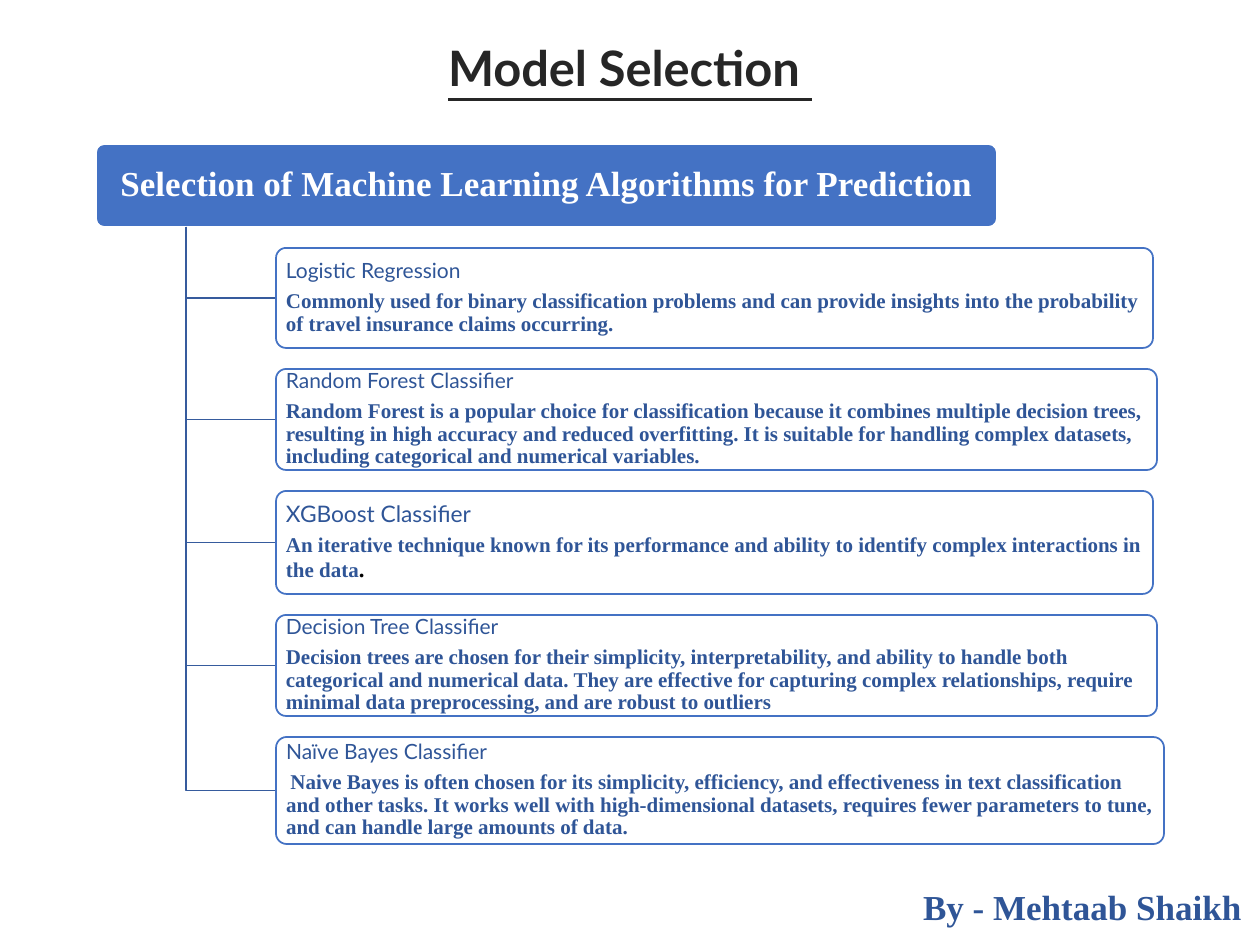
from pptx import Presentation
from pptx.dml.color import RGBColor
from pptx.enum.shapes import MSO_SHAPE
from pptx.enum.text import MSO_ANCHOR, PP_ALIGN
from pptx.util import Pt

SCALE = 914400 / 126
COLORS = {
    "title": "262626",
    "accent": "4472C4",
    "branch": "365B9D",
    "text": "2F5597",
    "white": "FFFFFF",
    "black": "000000",
}
SERIF = "Times New Roman"
HEADING = {"name": "Lato", "size": 12, "color": "text"}
BODY = {"name": SERIF, "size": 12, "color": "text", "bold": True}
GAP = 21

ALGORITHMS = [
    (877, 100, [
        [("Logistic Regression", HEADING)],
        [("Commonly used for binary classification problems and can provide insights into the "
          "probability of travel insurance claims occurring.", BODY)],
    ]),
    (881, 101, [
        [("Random Forest Classifier", HEADING)],
        [("Random Forest is a popular choice for classification because it combines multiple "
          "decision trees, resulting in high accuracy and reduced overfitting. It is suitable for "
          "handling complex datasets, including categorical and numerical variables.", BODY)],
    ]),
    (877, 103, [
        [("XGBoost Classifier", HEADING | {"size": 13})],
        [("An iterative technique known for its performance and ability to identify complex "
          "interactions in the data", BODY),
         (".", BODY | {"size": 13, "color": "black"})],
    ]),
    (881, 101, [
        [("Decision Tree Classifier", HEADING)],
        [("Decision trees are chosen for their simplicity, interpretability, and ability to handle "
          "both categorical and numerical data. They are effective for capturing complex "
          "relationships, require minimal data preprocessing, and are robust to outliers", BODY)],
    ]),
    (888, 107, [
        [("Naïve Bayes Classifier", HEADING)],
        [(" ", BODY | {"name": "Calibri", "size": 11, "color": "black"}),
         ("Naive Bayes is often chosen for its simplicity, efficiency, and effectiveness in text "
          "classification and other tasks. It works well with high-dimensional datasets, requires "
          "fewer parameters to tune, and can handle large amounts of data.", BODY)],
    ]),
]


def px(value):
    return round(value * SCALE)


def rgb(name):
    return RGBColor.from_string(COLORS[name])


def add_runs(paragraph, runs):
    for text, style in runs:
        run = paragraph.add_run()
        run.text = text
        for attribute, value in style.items():
            if attribute == "color":
                run.font.color.rgb = rgb(value)
            else:
                setattr(run.font, attribute, Pt(value) if attribute == "size" else value)


def write_text(shape, paragraphs, alignment, line_spacing=0.9, space_after=0):
    frame = shape.text_frame
    for index, runs in enumerate(paragraphs):
        paragraph = frame.paragraphs[0] if index == 0 else frame.add_paragraph()
        paragraph.alignment = alignment
        paragraph.line_spacing = line_spacing
        paragraph.space_before = Pt(0)
        paragraph.space_after = Pt(space_after)
        add_runs(paragraph, runs)


def set_frame(shape, margin_x, margin_y, wrap=True, anchor=MSO_ANCHOR.MIDDLE):
    settings = {
        "margin_left": px(margin_x), "margin_right": px(margin_x),
        "margin_top": px(margin_y), "margin_bottom": px(margin_y),
        "word_wrap": wrap, "vertical_anchor": anchor,
    }
    for attribute, value in settings.items():
        setattr(shape.text_frame, attribute, value)


def add_title(slide, left, top, width, height):
    title = slide.shapes.title
    title.left, title.top, title.width, title.height = map(px, (left, top, width, height))
    set_frame(title, 12, 6)
    style = {"name": "Lato", "size": 27.9, "color": "title", "bold": True, "underline": True}
    write_text(title, [[("Model Selection\u00a0", style)]], PP_ALIGN.CENTER)


def add_box(slide, left, top, width, height, fill, line):
    shape = slide.shapes.add_shape(
        MSO_SHAPE.ROUNDED_RECTANGLE, *map(px, (left, top, width, height)))
    shape.adjustments[0] = 0.1
    shape.shadow.inherit = False
    shape.fill.solid()
    shape.fill.fore_color.rgb = rgb(fill)
    shape.line.color.rgb = rgb(line)
    shape.line.width = Pt(1)
    set_frame(shape, 7, 6)
    return shape


def add_branch(slide, left, top, right, bottom):
    builder = slide.shapes.build_freeform(px(left), px(top))
    builder.add_line_segments([(px(left), px(bottom)), (px(right), px(bottom))], close=False)
    branch = builder.convert_to_shape()
    branch.shadow.inherit = False
    branch.fill.background()
    branch.line.color.rgb = rgb("branch")
    branch.line.width = Pt(1)


def add_hierarchy(slide, left, top):
    header_height = 83
    header = add_box(slide, left, top, 901, header_height, "accent", "white")
    style = {"name": SERIF, "size": 20, "color": "white", "bold": True}
    write_text(header, [[("Selection of Machine Learning Algorithms for Prediction", style)]],
               PP_ALIGN.CENTER)

    header_bottom = top + header_height
    box_left = left + 180
    box_top = header_bottom + GAP
    for width, height, paragraphs in ALGORITHMS:
        add_branch(slide, left + 90, header_bottom, box_left, box_top + height / 2)
        box = add_box(slide, box_left, box_top, width, height, "white", "accent")
        write_text(box, paragraphs, PP_ALIGN.LEFT, space_after=4.2)
        box_top += height + GAP


def add_byline(slide, left, top, width, height):
    box = slide.shapes.add_textbox(*map(px, (left, top, width, height)))
    set_frame(box, 12, 6, wrap=False, anchor=MSO_ANCHOR.TOP)
    style = {"name": SERIF, "size": 20, "color": "text", "bold": True}
    write_text(box, [[("By - Mehtaab Shaikh", style)]], PP_ALIGN.LEFT, line_spacing=1.0)


def main():
    presentation = Presentation()
    presentation.slide_width, presentation.slide_height = px(1260), px(945)
    slide = presentation.slides.add_slide(presentation.slide_layouts[5])
    add_title(slide, 87, 34, 1086, 74)
    add_hierarchy(slide, 96, 144)
    add_byline(slide, 911, 879, 344, 55)
    presentation.save("out.pptx")


if __name__ == "__main__":
    main()
